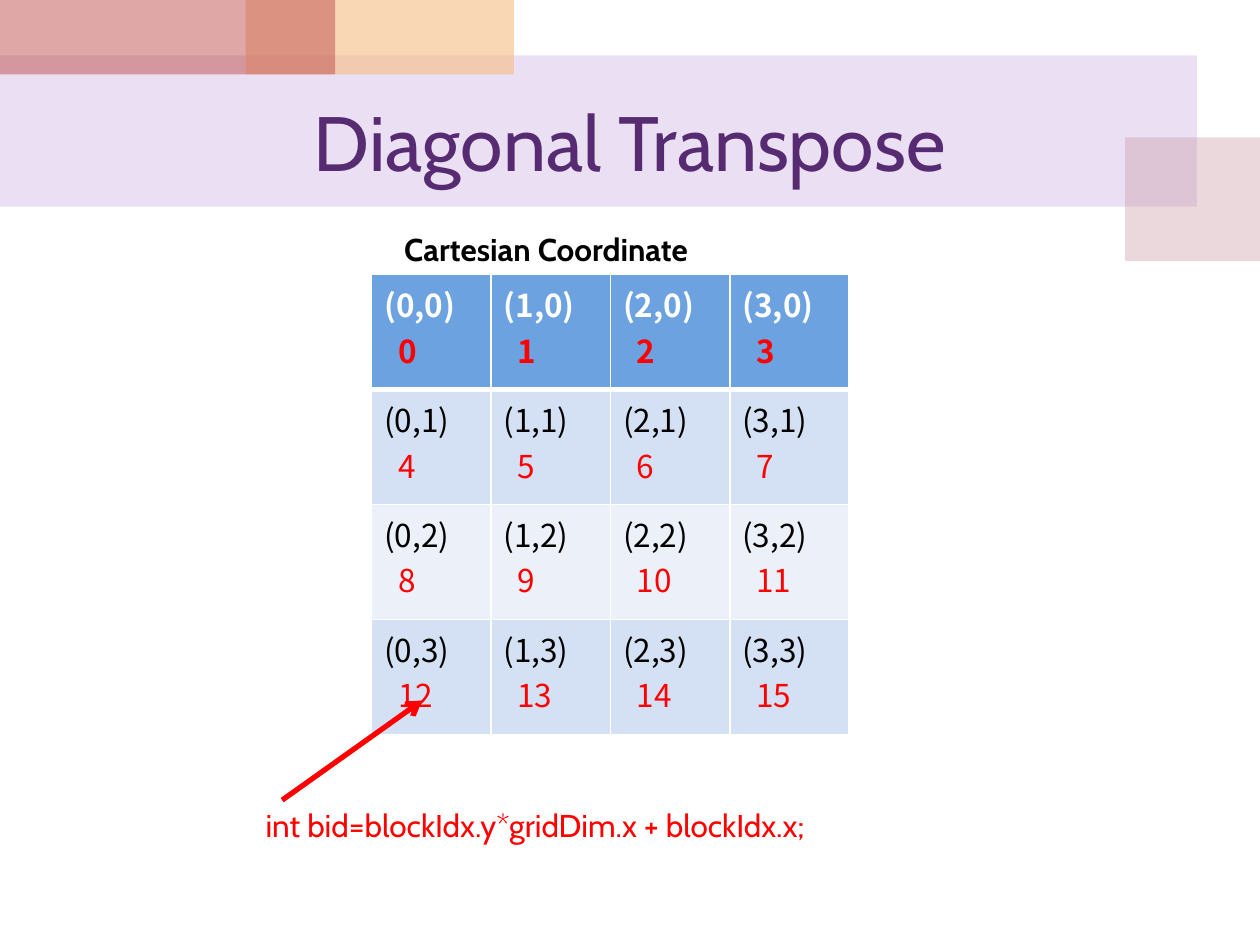
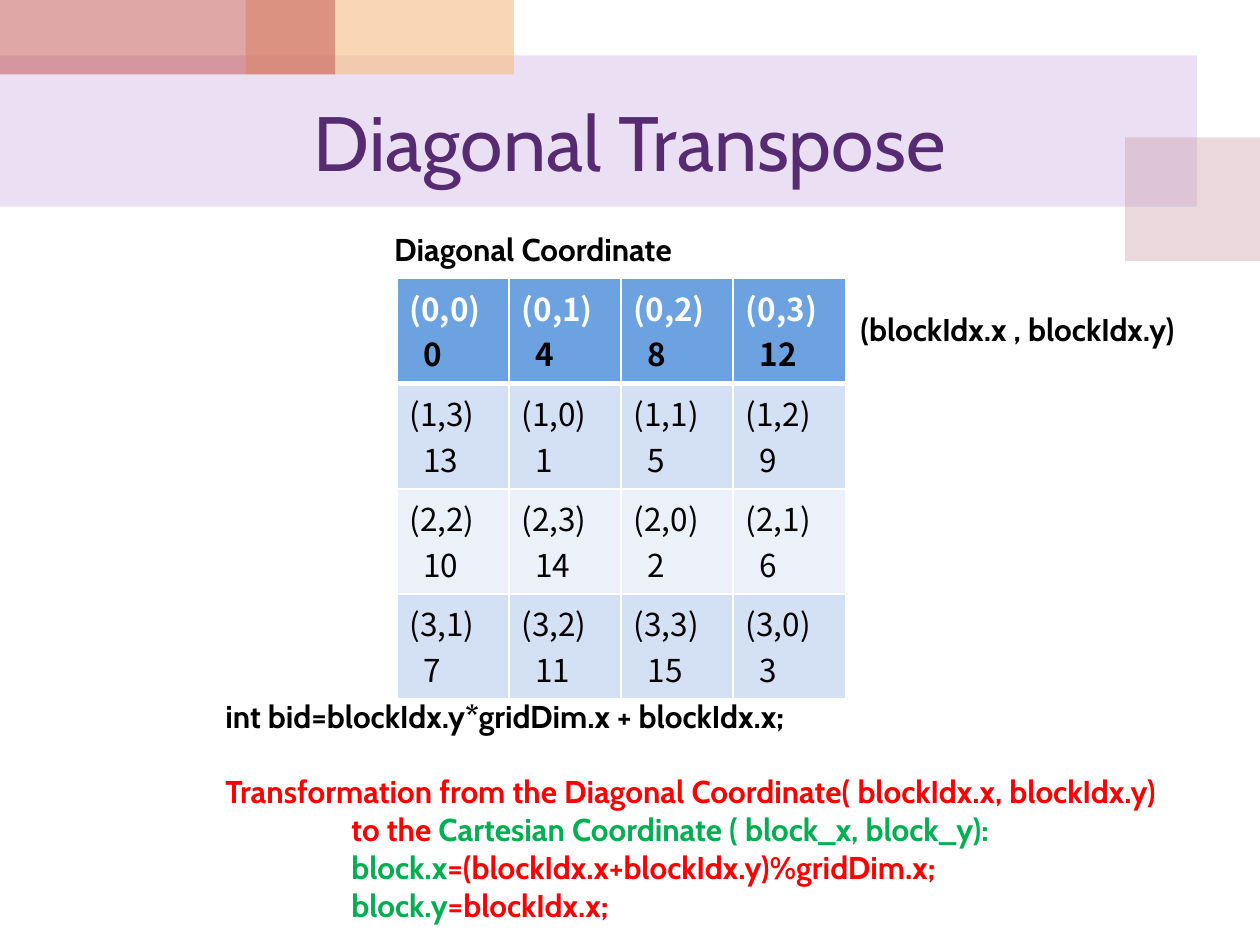
from dataclasses import dataclass

from lxml.etree import SubElement
from pptx import Presentation
from pptx.dml.color import RGBColor
from pptx.enum.shapes import MSO_CONNECTOR as Connector, MSO_SHAPE as Shape
from pptx.enum.text import MSO_ANCHOR as Anchor, PP_ALIGN as Align
from pptx.oxml import parse_xml
from pptx.oxml.ns import nsdecls, qn
from pptx.util import Emu, Inches, Pt

TEXT_FONT, CELL_FONT = "Cabin", "Noto Sans CJK KR"
BLACK, WHITE, RED, GREEN = "000000", "FFFFFF", "FF0000", "00B050"
TITLE_COLOUR = "562B71"
HEADER_FILL, ROW_FILLS = "6BA2DF", ("EBF0F9", "D4E0F3")
GRID = 4  # blocks per side
BID_FORMULA = "int bid=blockIdx.y*gridDim.x + blockIdx.x;"
UNIT = Inches(1)  # slide grid: 10 columns by 7.5 rows

# Bands shared by both slides: place, colour, opacity in percent
BANDS = [
    ((0, 0.44, 9.5, 1.2), "BF98D8", 30),
    ((8.93, 1.09, 1.07, 0.98), "CC9EAC", 40),
    ((1.95, 0, 2.13, 0.59), "F5BC83", 60),
    ((0, 0, 2.66, 0.59), "C0504D", 50),
]


@dataclass
class Box:
    """A region of the slide, in grid columns and rows."""
    left: float
    top: float
    width: float
    height: float

    def inner(self, left, top, width, height):
        return Box(self.left + left, self.top + top, width, height)

    def emu(self):
        return [Emu(round(n * UNIT))
                for n in (self.left, self.top, self.width, self.height)]


SLIDE = Box(0, 0, 10, 7.5)
CONTENT = Box(1.69, 1.78, 8.03, 5.6)


def rgb(colour):
    return RGBColor.from_string(colour)


def write(frame, lines, size=18, font=TEXT_FONT, colour=BLACK, bold=False,
          align=None, indents=(), gaps=()):
    """Fill a frame; a line is a string or a list of (text, colour) runs."""
    frame.word_wrap = True
    for i, line in enumerate(lines):
        paragraph = frame.paragraphs[0] if i == 0 else frame.add_paragraph()
        if align is not None:
            paragraph.alignment = align
        if i < len(indents) and indents[i]:
            properties = paragraph._p.get_or_add_pPr()
            properties.set("marL", str(Inches(indents[i])))
            properties.set("indent", "0")
        if i < len(gaps) and gaps[i]:
            paragraph.space_before = Pt(gaps[i])
        for text, run_colour in [(line, colour)] if isinstance(line, str) else line:
            run = paragraph.add_run()
            run.text = text
            run.font.name, run.font.size, run.font.bold = font, Pt(size), bold
            run.font.color.rgb = rgb(run_colour)


def label(slide, box, lines, **style):
    write(slide.shapes.add_textbox(*box.emu()).text_frame, lines, **style)


def draw_bands(slide, layout):
    """Draw the bands and move them to the layout, behind its placeholders."""
    for i, (place, colour, opacity) in enumerate(BANDS):
        band = slide.shapes.add_shape(Shape.RECTANGLE, *SLIDE.inner(*place).emu())
        band.shadow.inherit = False
        band.fill.solid()
        band.fill.fore_color.rgb = rgb(colour)
        band.line.fill.background()
        tint = band.element.spPr.find(".//" + qn("a:srgbClr"))
        SubElement(tint, qn("a:alpha")).set("val", str(opacity * 1000))
        band.element.nvSpPr.cNvPr.set("id", str(100 + i))
        layout.shapes.element.insert(2 + i, band.element)


def add_title(slide, box, text):
    title = slide.shapes.title
    title.left, title.top, title.width, title.height = box.emu()
    title.text_frame.vertical_anchor = Anchor.MIDDLE
    write(title.text_frame, [text], size=44, colour=TITLE_COLOUR, align=Align.CENTER)


def set_borders(cell, top, bottom):
    widths = {"lnL": 1, "lnR": 1, "lnT": top, "lnB": bottom}
    for i, (side, width) in enumerate(widths.items()):
        cell._tc.get_or_add_tcPr().insert(i, parse_xml(
            f'<a:{side} {nsdecls("a")} w="{Pt(width)}"><a:solidFill>'
            f'<a:srgbClr val="{WHITE}"/></a:solidFill></a:{side}>'))


def block_table(slide, box, block_at, id_colour):
    """Show every block's (x,y) with its block id below."""
    table = slide.shapes.add_table(GRID, GRID, *box.emu()).table
    table.first_row = table.horz_banding = False
    for row in range(GRID):
        header = row == 0
        for column in range(GRID):
            x, y = block_at(column, row)
            cell = table.cell(row, column)
            cell.fill.solid()
            cell.fill.fore_color.rgb = rgb(HEADER_FILL if header else ROW_FILLS[row % 2])
            set_borders(cell, top=3 if row == 1 else 1, bottom=3 if header else 1)
            write(cell.text_frame,
                  [[(f"({x},{y})", WHITE if header else BLACK)],
                   [(str(y * GRID + x), id_colour)]],
                  font=CELL_FONT, bold=header, indents=(0, 0.11))


def add_arrow(slide, start, end):
    ends = [Emu(round(n * UNIT)) for n in (start.left, start.top, end.left, end.top)]
    arrow = slide.shapes.add_connector(Connector.STRAIGHT, *ends)
    arrow.line.color.rgb, arrow.line.width = rgb(RED), Pt(3)
    SubElement(arrow.line._get_or_add_ln(), qn("a:tailEnd")).set("type", "arrow")
    SubElement(arrow.element.spPr, qn("a:effectLst"))


def cartesian_panel(slide, box):
    block_table(slide, box.inner(1.26, 0.4, 3.79, 3.65),
                lambda column, row: (column, row), RED)
    # Formula pointing at a block id
    label(slide, box.inner(0.32, 4.57, 5.83, 0.4), [BID_FORMULA], colour=RED)
    add_arrow(slide, box.inner(0.55, 4.57, 0, 0), box.inner(1.66, 3.78, 0, 0))
    label(slide, box.inner(1.42, 0, 3.39, 0.4), ["Cartesian Coordinate"], bold=True)


def diagonal_panel(slide, box):
    block_table(slide, box.inner(1.46, 0.43, 3.56, 3.34),
                lambda column, row: (row, (column - row) % GRID), BLACK)
    label(slide, box.inner(1.34, 0, 3.46, 0.4), ["Diagonal Coordinate"], bold=True)
    label(slide, box.inner(5.04, 0.63, 2.99, 0.4), ["(blockIdx.x , blockIdx.y)"], bold=True)
    # Formula and the transformation rules
    label(slide, box.inner(0, 3.7, 8.03, 1.9), [
        BID_FORMULA,
        [("Transformation from the Diagonal Coordinate( blockIdx.x, blockIdx.y)", RED)],
        [("to the ", RED), ("Cartesian Coordinate ( block_x, block_y):", GREEN)],
        [("block.x", GREEN), ("=(blockIdx.x+blockIdx.y)%gridDim.x;", RED)],
        [("block.y", GREEN), ("=blockIdx.x;", RED)],
    ], bold=True, indents=(0, 0, 1, 1, 1), gaps=(0, 21.6))


def main():
    deck = Presentation()
    deck.slide_width, deck.slide_height = SLIDE.emu()[2:]
    layout = deck.slide_layouts[5]  # title only
    for i, panel in enumerate((cartesian_panel, diagonal_panel)):
        slide = deck.slides.add_slide(layout)
        if i == 0:
            draw_bands(slide, layout)
        add_title(slide, SLIDE.inner(0.5, 0.59, 9, 1.05), "Diagonal Transpose")
        panel(slide, CONTENT)
    deck.save("out.pptx")


if __name__ == "__main__":
    main()
